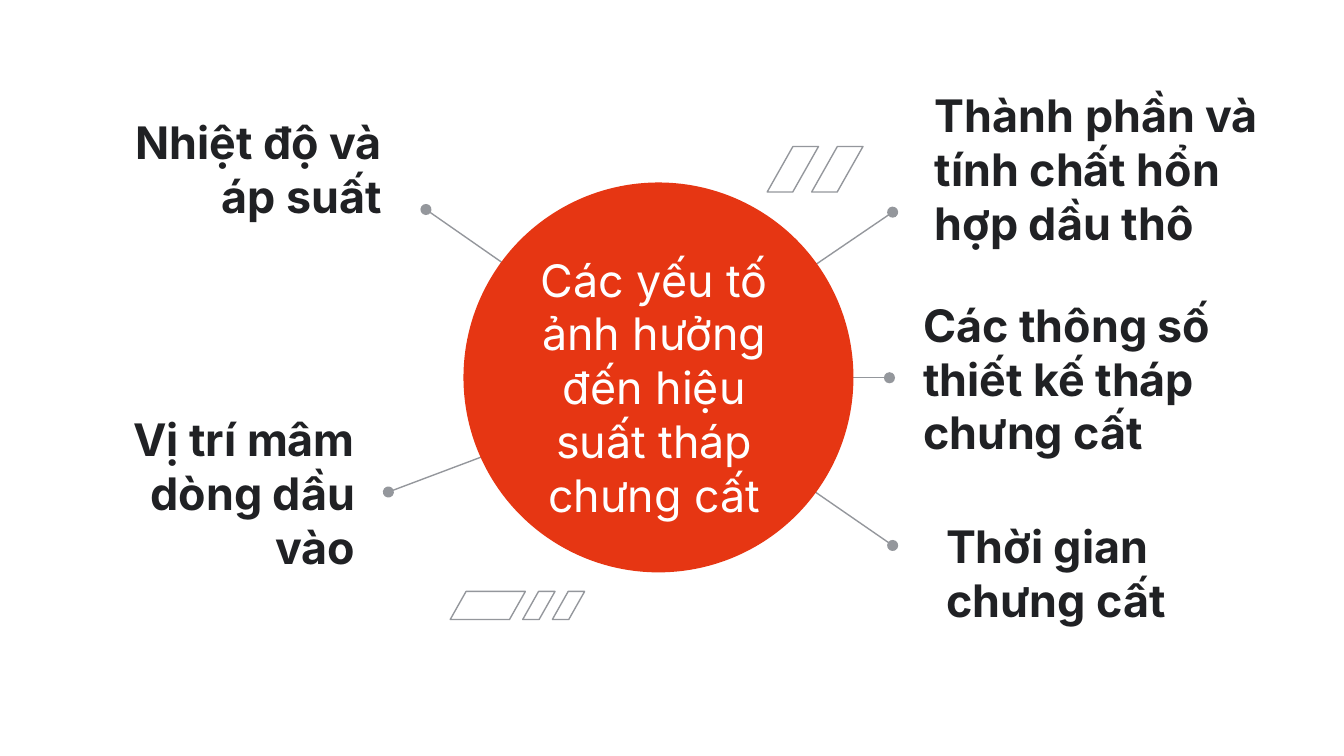
"""Build a slide of the factors that affect distillation column efficiency."""
from lxml.etree import SubElement
from pptx import Presentation
from pptx.dml.color import RGBColor
from pptx.enum.shapes import MSO_CONNECTOR, MSO_SHAPE
from pptx.enum.text import MSO_ANCHOR, MSO_AUTO_SIZE, PP_ALIGN
from pptx.oxml.ns import qn
from pptx.util import Cm, Pt

TITLE = "Các yếu tố ảnh hưởng đến hiệu suất tháp chưng cất"
FACTORS = [
    dict(text="Nhiệt độ và áp suất", align=PP_ALIGN.RIGHT,
         box=(1.75, 2.57, 5.72), line=(8.05, 3.96, 12.07, 6.76)),
    dict(text="Vị trí mâm dòng dầu vào", align=PP_ALIGN.RIGHT,
         box=(0.97, 8.69, 5.99), line=(7.34, 9.3, 12.07, 7.52)),
    dict(text="Thành phần và tính chất hổn hợp dầu thô", align=PP_ALIGN.LEFT,
         box=(17.42, 2.57, 6.78), line=(16.87, 4.01, 12.83, 6.76)),
    dict(text="Các thông số thiết kế tháp chưng cất", align=PP_ALIGN.LEFT,
         box=(17.2, 6.53, 6.78), line=(16.81, 7.14, 12.98, 7.14)),
    dict(text="Thời gian chưng cất", align=PP_ALIGN.LEFT,
         box=(17.63, 10.21, 5.72), line=(16.87, 10.31, 12.83, 7.52)),
]
LABEL_HEIGHT = 1.24
CIRCLE = (8.76, 3.45, 7.37, 7.37)
TITLE_BOX = (9.75, 4.52, 5.23, 1.8)
ORNAMENTS = [
    dict(left=8.51, top=11.18, height=0.53, widths=(1.42, 0.61, 0.61), overlap=0.05),
    dict(left=14.5, top=2.77, height=0.86, widths=(0.97, 0.97), overlap=0.13),
]
THEME = dict(
    accent=RGBColor.from_string("E63613"),
    line=RGBColor.from_string("94979C"),
    line_width=Pt(0.75),
    slant=0.566,
    inset=Cm(0.25),
    label=dict(name="Inter", size=Pt(24), bold=True, color="202124"),
    title=dict(name="Inter", size=Pt(24), bold=False, color="FFFFFF"),
)


def cm(values):
    return [Cm(v) for v in values]


def write(sp, text, style, align, anchor):
    tf = sp.text_frame
    frame = dict(word_wrap=True, auto_size=MSO_AUTO_SIZE.NONE, vertical_anchor=anchor)
    frame.update({f"margin_{side}": THEME["inset"]
                  for side in ("left", "top", "right", "bottom")})
    for key, value in frame.items():
        setattr(tf, key, value)
    p = tf.paragraphs[0]
    p.alignment = align
    r = p.add_run()
    r.text = text
    for key, value in style.items():
        if key == "color":
            r.font.color.rgb = RGBColor.from_string(value)
        else:
            setattr(r.font, key, value)


def outline(sp):
    sp.line.color.rgb = THEME["line"]
    sp.line.width = THEME["line_width"]


def add_pointer(s, ends):
    line = s.shapes.add_connector(MSO_CONNECTOR.STRAIGHT, *cm(ends))
    outline(line)
    ln = line.line._get_or_add_ln()
    for end in ("a:headEnd", "a:tailEnd"):
        SubElement(ln, qn(end), type="oval")
    SubElement(line.element.spPr, qn("a:effectLst"))


def add_factor(s, factor):
    add_pointer(s, factor["line"])
    sp = s.shapes.add_textbox(*cm((*factor["box"], LABEL_HEIGHT)))
    write(sp, factor["text"], THEME["label"], factor["align"], MSO_ANCHOR.MIDDLE)


def add_title_circle(s):
    circle = s.shapes.add_shape(MSO_SHAPE.OVAL, *cm(CIRCLE))
    circle.shadow.inherit = False
    circle.fill.solid()
    circle.fill.fore_color.rgb = THEME["accent"]
    circle.line.fill.background()
    title = s.shapes.title
    title.left, title.top, title.width, title.height = cm(TITLE_BOX)
    write(title, TITLE, THEME["title"], PP_ALIGN.CENTER, MSO_ANCHOR.TOP)
    circle.element.addnext(title.element)


def add_ornament(s, left, top, height, widths, overlap):
    group = s.shapes.add_group_shape()
    for width in widths:
        sp = group.shapes.add_shape(MSO_SHAPE.PARALLELOGRAM, *cm((left, top, width, height)))
        sp.adjustments[0] = THEME["slant"]
        sp.shadow.inherit = False
        sp.fill.background()
        outline(sp)
        left += width - overlap


def main():
    prs = Presentation()
    prs.slide_width, prs.slide_height = cm((25.4, 14.29))
    s = prs.slides.add_slide(prs.slide_layouts[5])
    for factor in FACTORS:
        add_factor(s, factor)
    add_title_circle(s)
    for ornament in ORNAMENTS:
        add_ornament(s, **ornament)
    prs.save("out.pptx")


if __name__ == "__main__":
    main()
